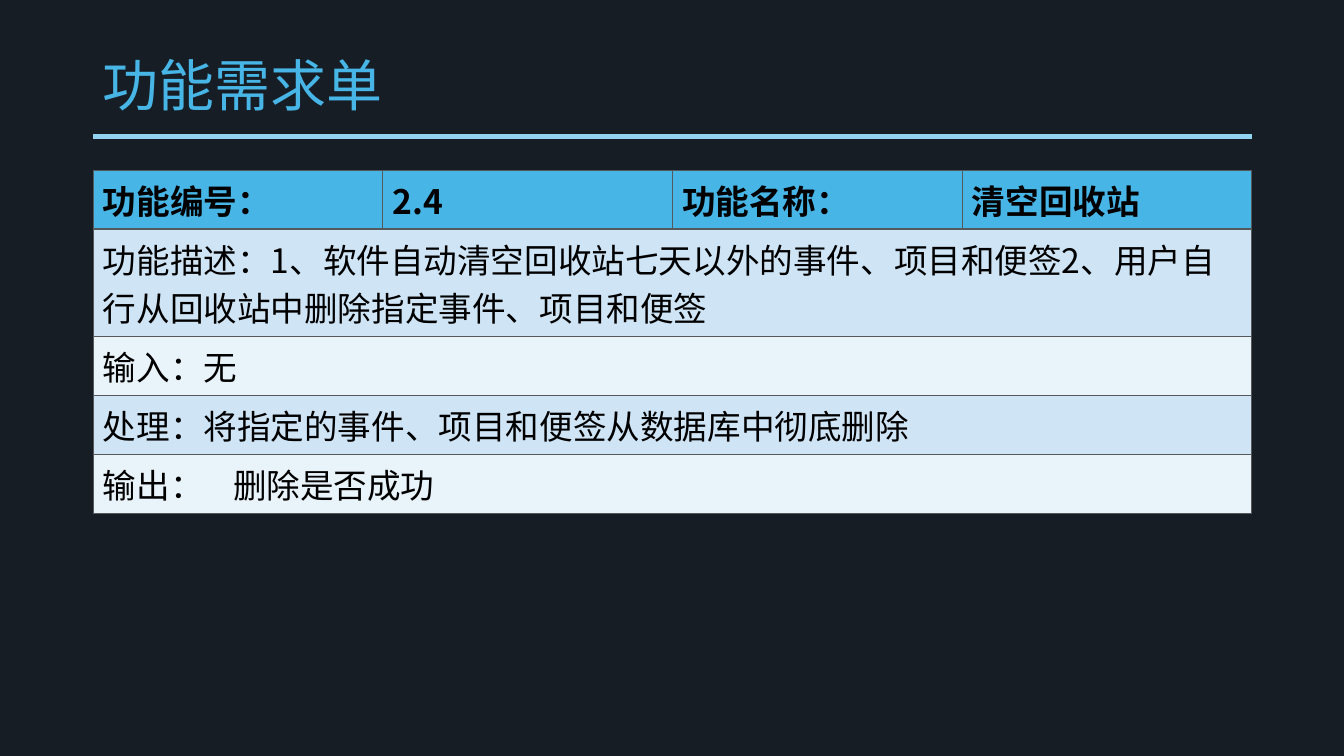
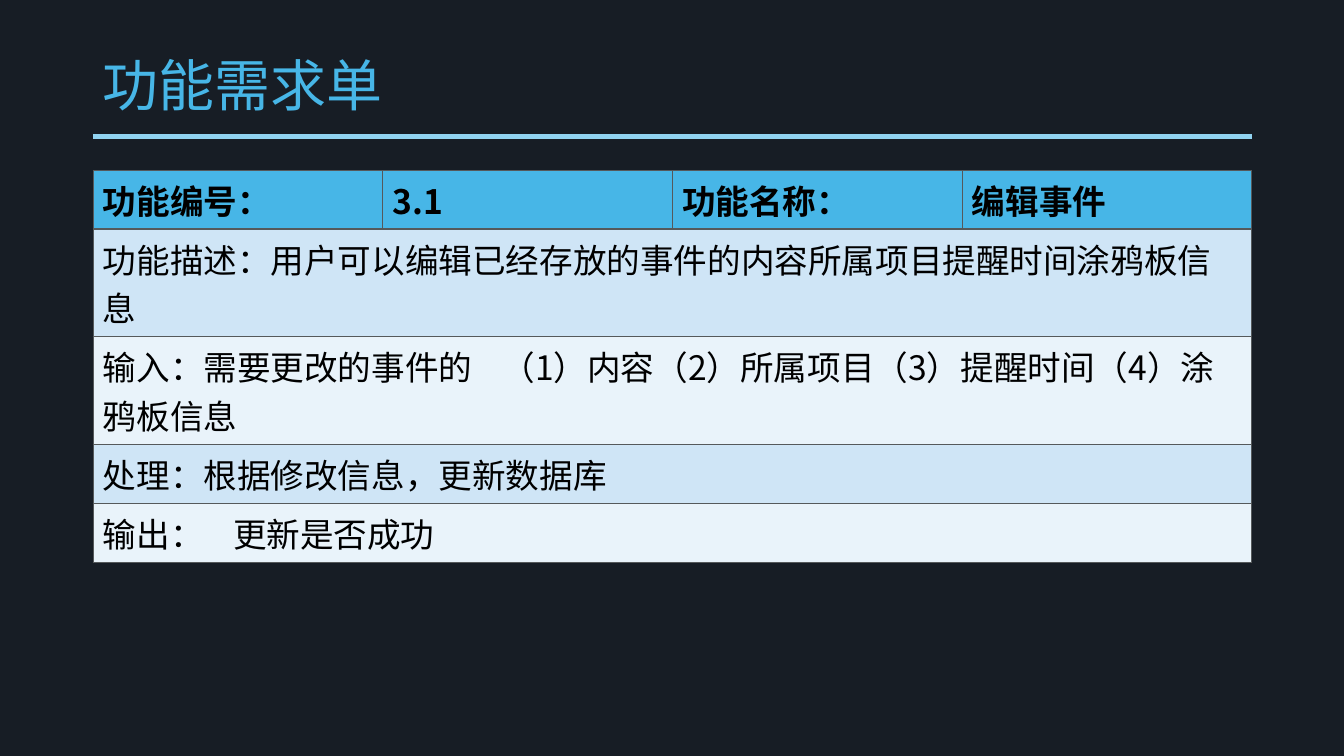
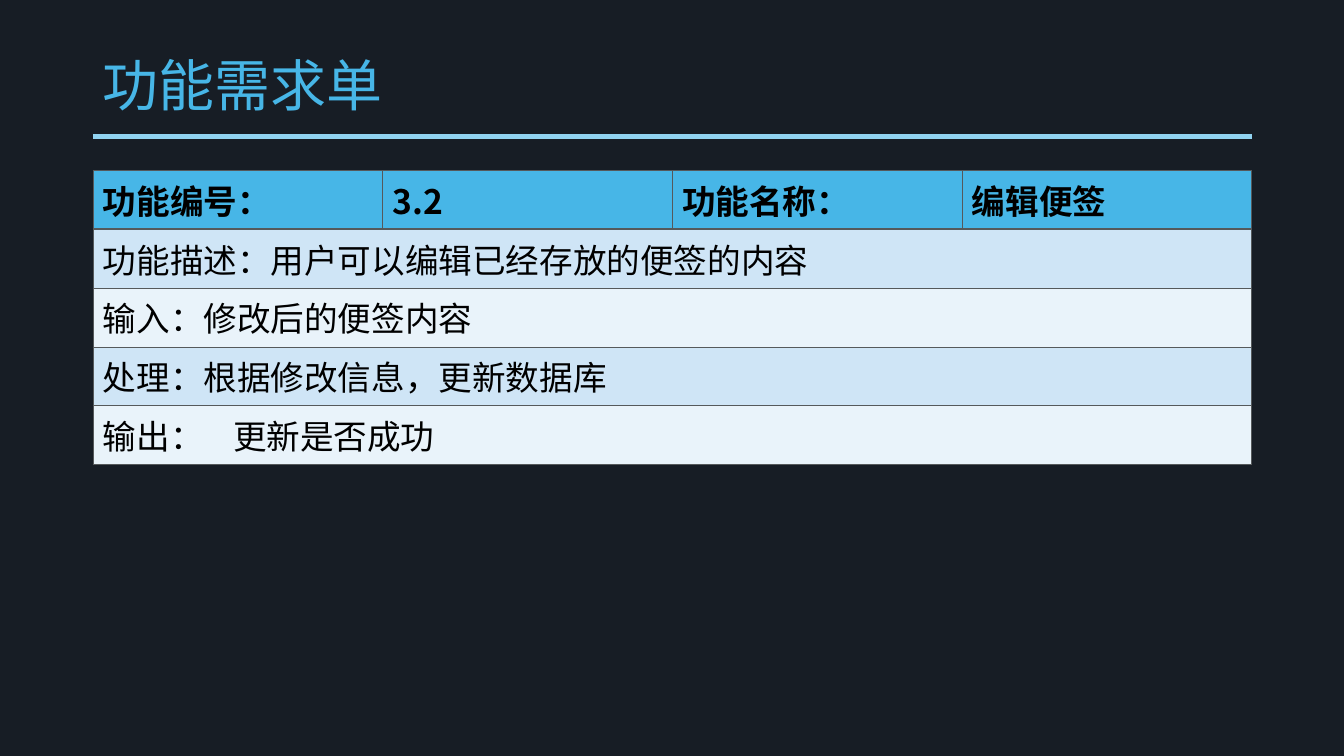
from lxml import etree
from pptx import Presentation
from pptx.dml.color import RGBColor
from pptx.enum import shapes, text
from pptx.oxml.ns import qn
from pptx.util import Cm, Pt

BACKGROUND, RULE, ACCENT = "171D25", "91D3F1", "47B6E7"
BANDS = ("CFE5F6", "E9F3FA")
BORDER, INK = "55595B", "000000"
CJK_FONT = "Noto Sans CJK SC"
LEFT, WIDTH = Cm(2.34), Cm(29.21)
THIN, THICK = Pt(0.45), Pt(1.47)
TITLE_BOX = (LEFT, Cm(1.02), WIDTH, Cm(2.41))
TABLE_BOX = (LEFT, Cm(4.29), WIDTH)
ROW_HEIGHT = Cm(1.48)
COLUMNS = 4
OUTPUT_TAB, INPUT_TAB = Cm(3.28), Cm(10.05)

# Number, name, then description, input, processing and output
REQUIREMENTS = [
    ("2.4", "清空回收站", [
        "功能描述：1、软件自动清空回收站七天以外的事件、项目和便签"
        "2、用户自行从回收站中删除指定事件、项目和便签",
        "输入：无",
        "处理：将指定的事件、项目和便签从数据库中彻底删除",
        "输出：\t删除是否成功"]),
    ("3.1", "编辑事件", [
        "功能描述：用户可以编辑已经存放的事件的内容所属项目提醒时间涂鸦板信息",
        "输入：需要更改的事件的\t（1）内容（2）所属项目（3）提醒时间（4）涂鸦板信息",
        "处理：根据修改信息，更新数据库",
        "输出：\t更新是否成功"]),
    ("3.2", "编辑便签", [
        "功能描述：用户可以编辑已经存放的便签的内容",
        "输入：修改后的便签内容",
        "处理：根据修改信息，更新数据库",
        "输出：\t更新是否成功"]),
]


def rgb(value):
    return RGBColor.from_string(value)


def format_runs(p, size, font, color, bold=False):
    for r in p.runs:
        r.font.size, r.font.name, r.font.bold = Pt(size), font, bold
        r.font.color.rgb = rgb(color)
        east_asian = etree.SubElement(r.font._element, qn("a:ea"))
        east_asian.set("typeface", CJK_FONT)


def add_tab_stop(p, position):
    tabs = etree.SubElement(p._p.get_or_add_pPr(), qn("a:tabLst"))
    etree.SubElement(tabs, qn("a:tab"), pos=str(int(position)), algn="l")


def set_borders(cell, top=THIN, bottom=THIN):
    tc_pr = cell._tc.get_or_add_tcPr()
    for side, width in (("L", THIN), ("R", THIN), ("T", top), ("B", bottom)):
        line = etree.SubElement(tc_pr, qn(f"a:ln{side}"), w=str(int(width)))
        fill = etree.SubElement(line, qn("a:solidFill"))
        etree.SubElement(fill, qn("a:srgbClr"), val=BORDER)


def style_cell(cell, fill, bold=False, **borders):
    set_borders(cell, **borders)
    cell.fill.solid()
    cell.fill.fore_color.rgb = rgb(fill)
    format_runs(cell.text_frame.paragraphs[0], 24, CJK_FONT, INK, bold)


def style_layout(prs, layout, s):
    """Give the layout its background and the rule below the title."""
    prs.slide_master.background.fill.solid()
    prs.slide_master.background.fill.fore_color.rgb = rgb(BACKGROUND)
    y = Cm(3.45)
    rule = s.shapes.add_connector(
        shapes.MSO_CONNECTOR.STRAIGHT, LEFT, y, LEFT + WIDTH, y)
    rule.line.color.rgb = rgb(RULE)
    rule.line.width = Pt(3.5)
    etree.SubElement(rule.element.spPr, qn("a:effectLst"))
    rule.element.nvCxnSpPr.cNvPr.set("id", "20")
    layout.shapes.element.append(rule.element)


def add_title(s, box, title):
    sp = s.shapes.title
    sp.left, sp.top, sp.width, sp.height = box
    tf = sp.text_frame
    tf.text = title
    tf.vertical_anchor = text.MSO_ANCHOR.MIDDLE
    tf.auto_size = text.MSO_AUTO_SIZE.NONE
    p = tf.paragraphs[0]
    p.alignment = text.PP_ALIGN.LEFT
    p.line_spacing = 0.9
    format_runs(p, 40, "Arial", ACCENT)


def add_requirement_table(s, box, number, name, details):
    left, top, width = box
    rows = len(details) + 1
    table = s.shapes.add_table(
        rows, COLUMNS, left, top, width, ROW_HEIGHT * rows).table
    for column in table.columns:
        column.width = width // COLUMNS

    for i, label in enumerate(("功能编号：", number, "功能名称：", name)):
        cell = table.cell(0, i)
        cell.text = label
        style_cell(cell, ACCENT, bold=True, bottom=THICK)

    for i, detail in enumerate(details, start=1):
        first = table.cell(i, 0)
        first.merge(table.cell(i, COLUMNS - 1))
        first.text = detail
        if "\t" in detail:
            position = INPUT_TAB if detail.startswith("输入") else OUTPUT_TAB
            add_tab_stop(first.text_frame.paragraphs[0], position)
        for column in range(COLUMNS):
            style_cell(table.cell(i, column), BANDS[(i - 1) % 2],
                       top=THICK if i == 1 else THIN)


def main():
    prs = Presentation()
    prs.slide_width, prs.slide_height = Cm(33.88), Cm(19.05)
    layout = prs.slide_layouts[5]
    for number, name, details in REQUIREMENTS:
        s = prs.slides.add_slide(layout)
        add_title(s, TITLE_BOX, "功能需求单")
        add_requirement_table(s, TABLE_BOX, number, name, details)
    style_layout(prs, layout, prs.slides[0])
    prs.save("out.pptx")


if __name__ == "__main__":
    main()
